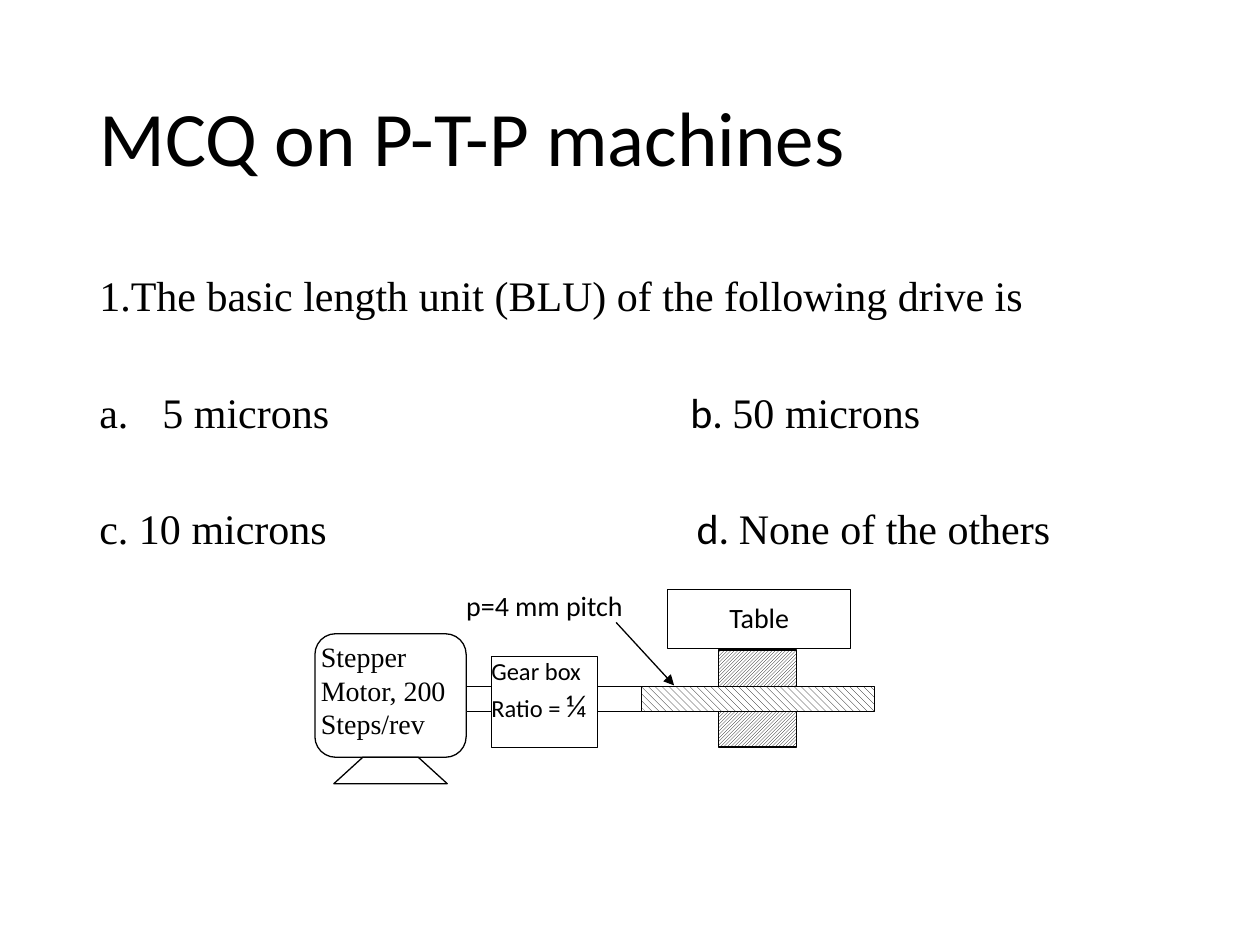
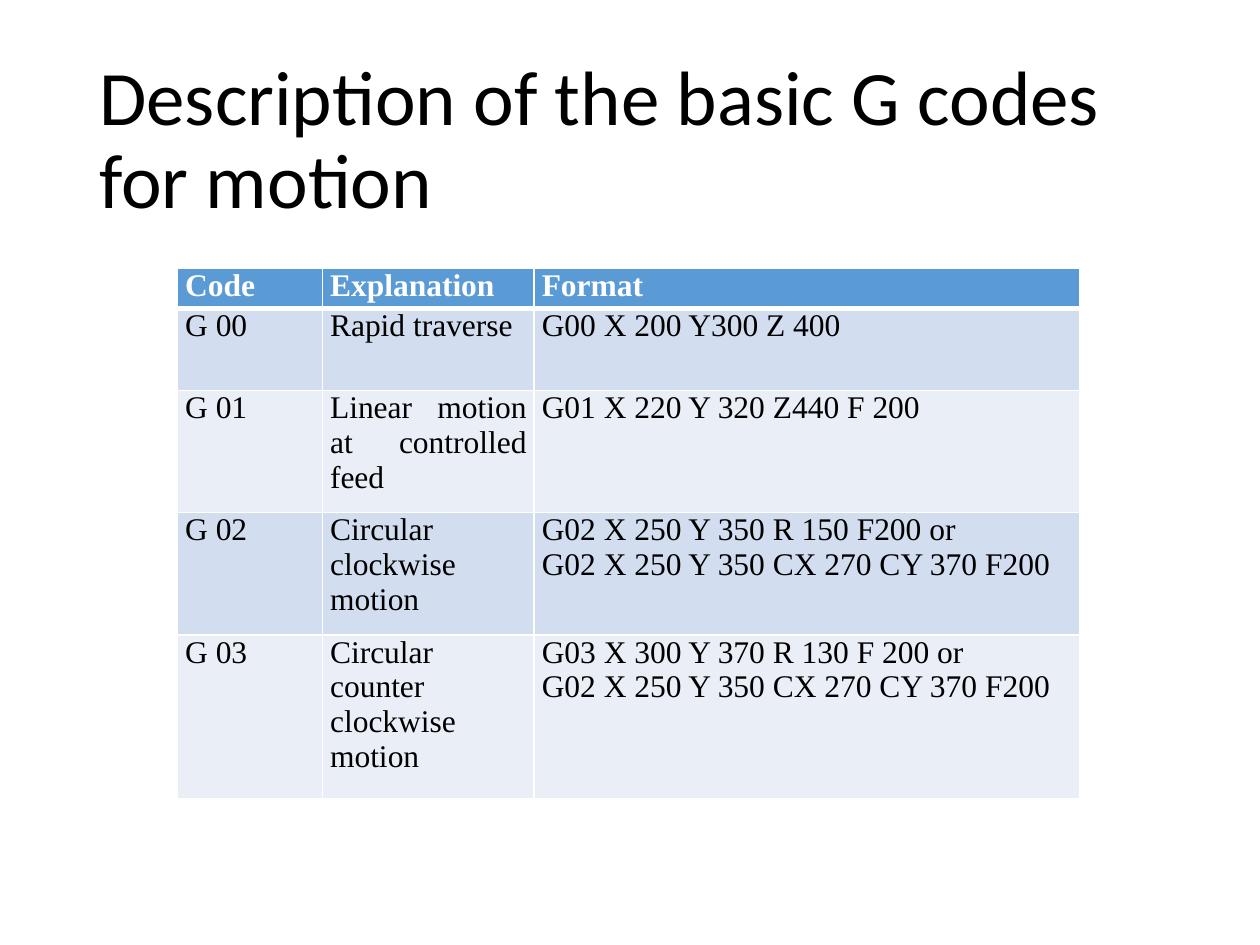
from dataclasses import dataclass

from lxml import etree
from pptx import Presentation
from pptx.dml.color import RGBColor
from pptx.enum import dml, shapes, text
from pptx.oxml import ns
from pptx.util import Inches, Pt


@dataclass(frozen=True)
class Theme:
    sans: str = "Calibri"
    serif: str = "Times New Roman"
    ink: str = "000000"
    paper: str = "FFFFFF"
    head: str = "5B9BD5"
    bands: tuple = ("D2DEEF", "EAEFF7")
    title: int = 44
    body: int = 24
    cell: int = 18
    label: int = 16
    small: int = 14
    line: float = 0.75


THEME = Theme()
KIND = shapes.MSO_SHAPE
ALIGN = text.PP_ALIGN


def rgb(code):
    return RGBColor.from_string(code)


def box(*sides):
    return [Inches(side) for side in sides]


def add(parent, tag, **attrs):
    return etree.SubElement(parent, ns.qn(tag), attrs)


# Text helpers
def style(run, font, size, color=THEME.ink, bold=False):
    run.font.name = font
    run.font.size = Pt(size)
    run.font.bold = bold
    run.font.color.rgb = rgb(color)


def pad(frame, side, top):
    frame.margin_left = frame.margin_right = Inches(side)
    frame.margin_top = frame.margin_bottom = Inches(top)
    frame.word_wrap = True


def write(para, runs, align=ALIGN.LEFT):
    """Fill a paragraph from (words, font, size) runs."""
    para.alignment = align
    for words, font, size in runs:
        run = para.add_run()
        run.text = words
        style(run, font, size)


def add_title(slide, words):
    frame = slide.shapes.add_textbox(*box(0.69, 0.4, 8.62, 1.45)).text_frame
    pad(frame, 0.1, 0.05)
    frame.vertical_anchor = text.MSO_ANCHOR.MIDDLE
    frame.text = words
    para = frame.paragraphs[0]
    para.line_spacing = 0.9
    style(para.runs[0], THEME.sans, THEME.title)


def set_tabs(para, stops):
    tabs = add(para._p.get_or_add_pPr(), "a:tabLst")
    for stop in stops:
        add(tabs, "a:tab", pos=str(Inches(stop)), algn="l")


def add_quiz(slide, question, rows):
    frame = slide.shapes.add_textbox(*box(0.69, 2.03, 8.62, 4.73)).text_frame
    pad(frame, 0.1, 0.05)

    # Numbered question
    para = frame.paragraphs[0]
    props = para._p.get_or_add_pPr()
    props.set("marL", str(Inches(0.25)))
    props.set("indent", str(-Inches(0.25)))
    add(props, "a:buFont", typeface=THEME.serif)
    add(props, "a:buAutoNum", type="arabicPeriod")
    para.line_spacing = 1.15
    write(para, [(question, THEME.serif, THEME.body)])

    # Two options to a row
    for left, mark, right, stops in rows:
        para = frame.add_paragraph()
        set_tabs(para, stops)
        para.line_spacing = 1.15
        para.space_before = Pt(33.5)
        write(para, [(left, THEME.serif, THEME.body),
                     (f"\t{mark} ", THEME.sans, THEME.body),
                     (right, THEME.serif, THEME.body)])


# Drawing helpers
def finish(shape, outline=True):
    shape.shadow.inherit = False
    shape.fill.solid()
    shape.fill.fore_color.rgb = rgb(THEME.paper)
    if outline:
        shape.line.color.rgb = rgb(THEME.ink)
        shape.line.width = Pt(THEME.line)
    else:
        shape.line.fill.background()


def add_part(parts, kind, place, outline=True):
    shape = parts.add_shape(kind, *box(*place))
    finish(shape, outline)
    return shape


def add_hatch(parts, place, pattern):
    fill = add_part(parts, KIND.RECTANGLE, place).fill
    fill.patterned()
    fill.pattern = pattern
    fill.fore_color.rgb = rgb(THEME.ink)
    fill.back_color.rgb = rgb(THEME.paper)


def add_label(shape, runs, align=ALIGN.LEFT, side=0, top=0):
    frame = shape.text_frame
    pad(frame, side, top)
    frame.vertical_anchor = text.MSO_ANCHOR.TOP
    write(frame.paragraphs[0], runs, align)
    return frame.paragraphs[0]


def add_arrow(parts, start, end):
    arrow = parts.add_connector(shapes.MSO_CONNECTOR.STRAIGHT,
                                *box(*start, *end))
    arrow.line.color.rgb = rgb(THEME.ink)
    arrow.line.width = Pt(THEME.line)
    add(arrow.line._get_or_add_ln(), "a:tailEnd", type="triangle")
    add(arrow._element.spPr, "a:effectLst")


def add_drive(slide):
    parts = slide.shapes.add_group_shape().shapes

    # Motor on its foot
    motor = add_part(parts, KIND.FLOWCHART_ALTERNATE_PROCESS,
                     (2.5, 5.03, 1.2, 0.98))
    add_label(motor, [("Stepper Motor, 200 Steps/rev",
                       THEME.serif, THEME.label)])
    foot = parts.build_freeform(*box(2.65, 6.22), scale=1.0)
    foot.add_line_segments([box(*spot) for spot in
                            ((2.88, 6.01), (3.32, 6.01), (3.55, 6.22))])
    finish(foot.convert_to_shape())

    # Shaft and gear box
    add_part(parts, KIND.RECTANGLE, (3.7, 5.45, 2.96, 0.2))
    gear = add_part(parts, KIND.FLOWCHART_PROCESS, (3.9, 5.21, 0.84, 0.72))
    add_label(gear, [("Gear box Ratio = ", THEME.sans, THEME.small),
                     ("¼", THEME.sans, THEME.cell)])

    # Nut, screw and table
    add_hatch(parts, (5.7, 5.16, 0.62, 0.77),
              dml.MSO_PATTERN.LIGHT_UPWARD_DIAGONAL)
    add_hatch(parts, (5.09, 5.45, 1.85, 0.2),
              dml.MSO_PATTERN.WIDE_DOWNWARD_DIAGONAL)
    table = add_part(parts, KIND.FLOWCHART_PROCESS, (5.3, 4.68, 1.45, 0.47))
    para = add_label(table, [("Table", THEME.sans, THEME.label)],
                     ALIGN.CENTER, 0.1, 0.05)
    para.line_spacing = 1.15

    # Pitch label
    pitch = add_part(parts, KIND.RECTANGLE, (3.7, 4.67, 1.31, 0.36), False)
    add_label(pitch, [("p=4 mm pitch", THEME.sans, THEME.label)],
              ALIGN.JUSTIFY)
    add_arrow(parts, (4.89, 4.94), (5.35, 5.44))


# Table helpers
def set_edges(cell, below):
    props = cell._tc.get_or_add_tcPr()
    for side, width in (("L", 1), ("R", 1), ("T", 1), ("B", below)):
        edge = add(props, f"a:ln{side}", w=str(Pt(width)))
        add(add(edge, "a:solidFill"), "a:srgbClr", val=THEME.paper)


def fill_cell(cell, words, row):
    head = row == 0
    set_edges(cell, 3 if head else 1)
    cell.fill.solid()
    cell.fill.fore_color.rgb = rgb(
        THEME.head if head else THEME.bands[(row - 1) % 2])
    cell.margin_left = cell.margin_right = Inches(0.06)
    cell.margin_top = cell.margin_bottom = 0
    cell.text_frame.text = words
    for para in cell.text_frame.paragraphs:
        para.alignment = ALIGN.JUSTIFY
        style(para.runs[0], THEME.serif, THEME.cell,
              THEME.paper if head else THEME.ink, head)


def add_grid(slide, rows, widths, heights):
    grid = slide.shapes.add_table(
        len(rows), len(widths),
        *box(1.41, 2.13, sum(widths), sum(heights))).table
    for col, width in zip(grid.columns, widths):
        col.width = Inches(width)
    for line, height in zip(grid.rows, heights):
        line.height = Inches(height)
    for r, row in enumerate(rows):
        for c, words in enumerate(row):
            fill_cell(grid.cell(r, c), words, r)


def main():
    deck = Presentation()
    deck.slide_width, deck.slide_height = box(10, 7.5)
    blank = deck.slide_layouts[6]

    # Quiz slide
    slide = deck.slides.add_slide(blank)
    add_title(slide, "MCQ on P-T-P machines")
    add_quiz(slide, "The basic length unit (BLU) of the following drive is", [
        ("a.\t5 microns", "b.", "50 microns", (0.5, 4.69)),
        ("c. 10 microns", "d.", "None of the others", (4.74,)),
    ])
    add_drive(slide)

    # G code slide
    slide = deck.slides.add_slide(blank)
    add_title(slide, "Description of the basic G codes for motion")
    arc = "G02 X 250 Y 350 CX 270 CY 370 F200"
    add_grid(slide, [
        ("Code", "Explanation", "Format"),
        ("G 00", "Rapid traverse", "G00 X 200 Y300 Z 400"),
        ("G 01", "Linear motion at controlled feed",
         "G01 X 220 Y 320 Z440 F 200"),
        ("G 02", "Circular clockwise motion",
         f"G02 X 250 Y 350 R 150 F200 or\n{arc}"),
        ("G 03", "Circular counter clockwise motion",
         f"G03 X 300 Y 370 R 130 F 200 or\n{arc}"),
    ], (1.15, 1.68, 4.33), (0.32, 0.65, 0.97, 0.97, 1.3))

    deck.save("out.pptx")


if __name__ == "__main__":
    main()
